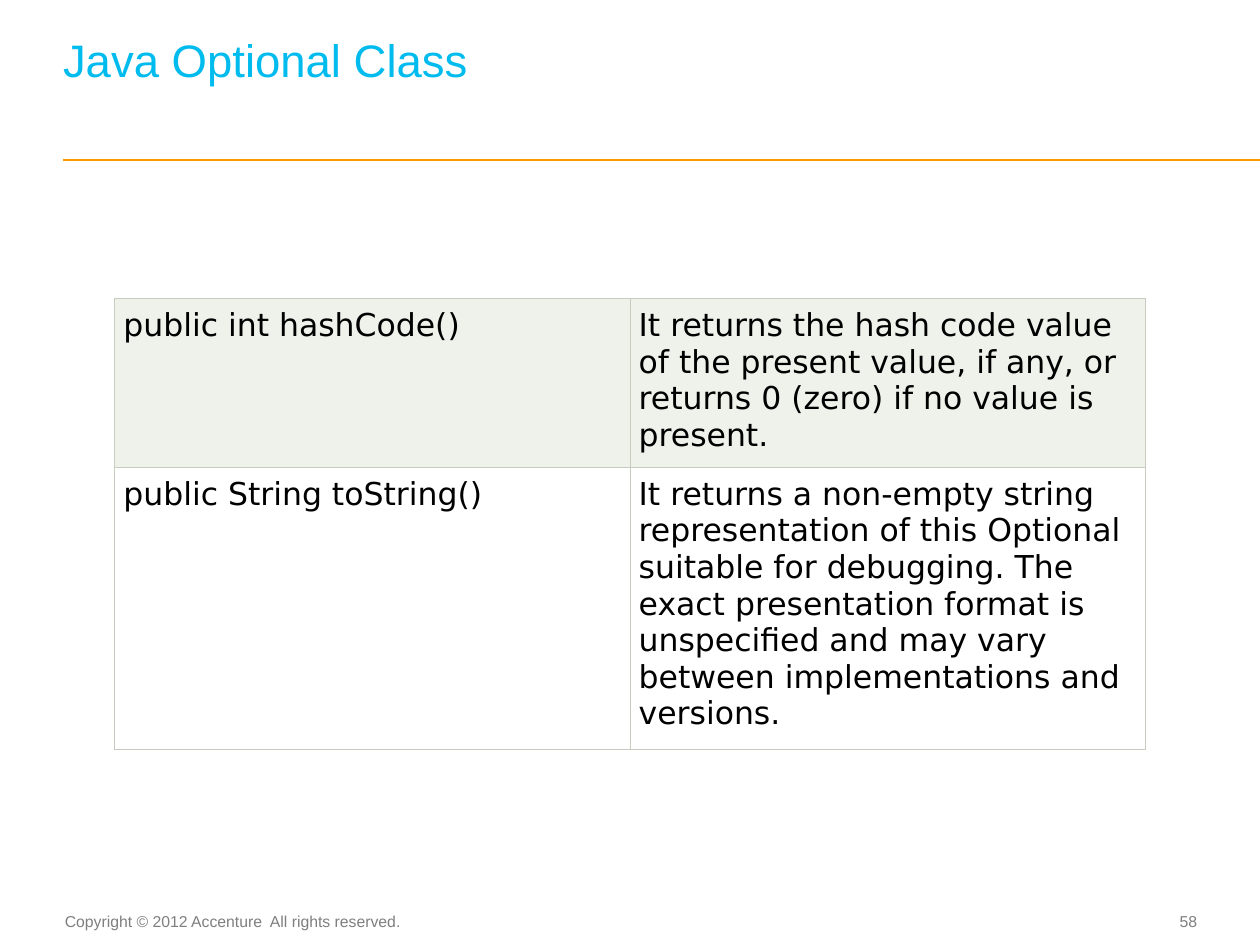
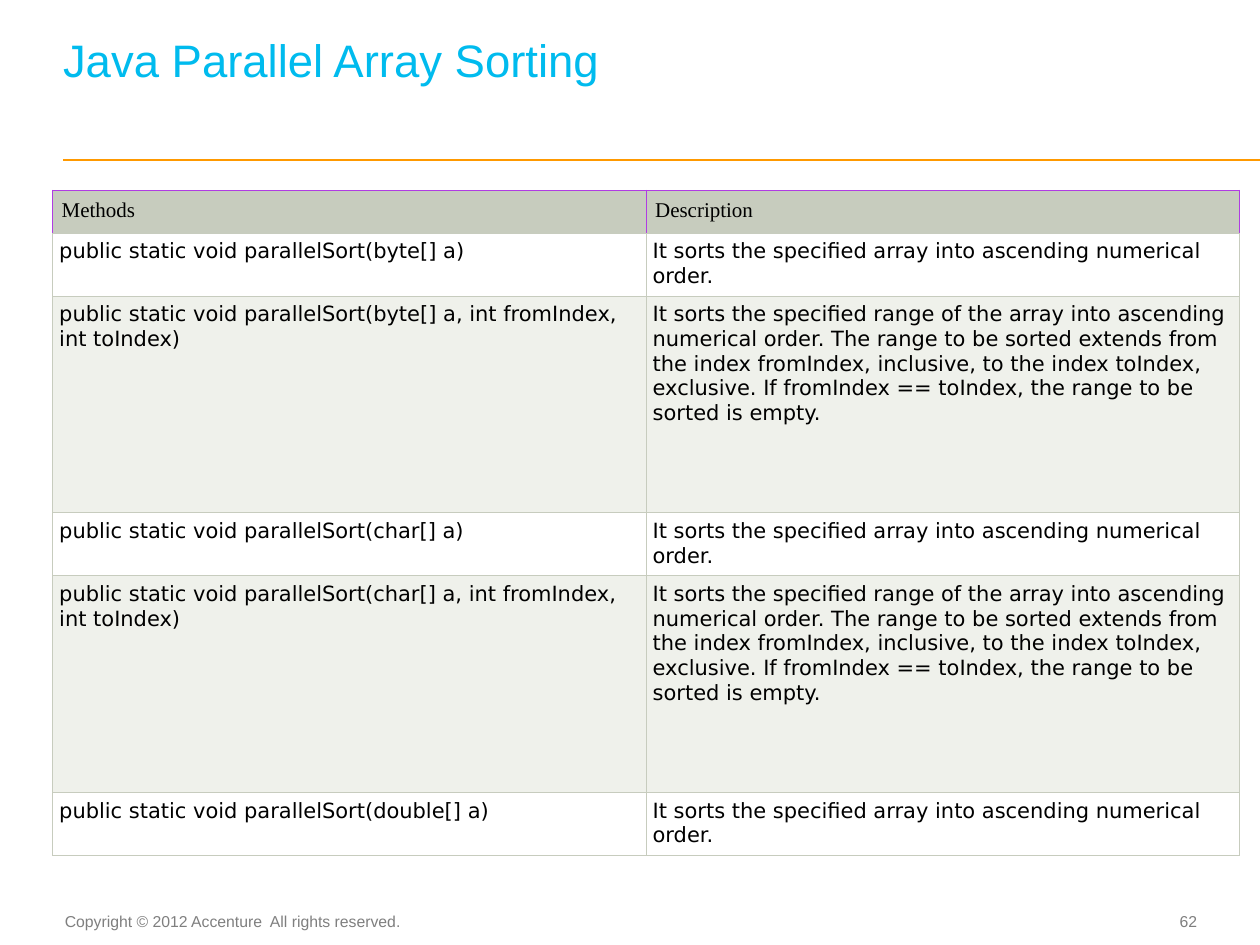
from lxml import etree
from pptx import Presentation
from pptx.dml.color import RGBColor
from pptx.enum.shapes import MSO_CONNECTOR
from pptx.enum.text import MSO_ANCHOR as Anchor, MSO_AUTO_SIZE as AutoSize, PP_ALIGN as Align
from pptx.oxml.ns import qn
from pptx.util import Inches, Pt

COLORS = {
    "title": "00BBEE",
    "rule": "FF9900",
    "footer": "7F7F7F",
    "text": "000000",
    "grid": "C7CCBE",
    "header_edge": "B03CE3",
    "header": "C7CCBE",
    "tinted": "EFF1EB",
    "plain": "FFFFFF",
}
COPYRIGHT = "Copyright © 2012 Accenture  All rights reserved."
SORTS_ALL = "It sorts the specified array into ascending numerical order."
SORTS_RANGE = (
    "It sorts the specified range of the array into ascending numerical order. "
    "The range to be sorted extends from the index fromIndex, inclusive, to the index "
    "toIndex, exclusive. If fromIndex == toIndex, the range to be sorted is empty."
)

# Each row: height, fill, method, description
SLIDES = [
    {
        "title": "Java Optional Class", "number": "58",
        "left": 0.91, "top": 2.37, "column": 4.09, "size": 18, "margin": 0.07,
        "rows": [
            (1.29, "tinted", "public int hashCode()",
             "It returns the hash code value of the present value, if any, "
             "or returns 0 (zero) if no value is present."),
            (2.16, "plain", "public String toString()",
             "It returns a non-empty string representation of this Optional suitable for "
             "debugging. The exact presentation format is unspecified and may vary between "
             "implementations and versions."),
        ],
    },
    {
        "title": "Java Parallel Array Sorting", "number": "62",
        "left": 0.42, "top": 1.51, "column": 4.71, "size": 12, "margin": 0.05,
        "rows": [
            (0.34, "header", "Methods", "Description"),
            (0.5, "plain", "public static void parallelSort(byte[] a)", SORTS_ALL),
            (1.72, "tinted",
             "public static void parallelSort(byte[] a, int fromIndex, int toIndex)", SORTS_RANGE),
            (0.5, "plain", "public static void parallelSort(char[] a)", SORTS_ALL),
            (1.72, "tinted",
             "public static void parallelSort(char[] a, int fromIndex, int toIndex)", SORTS_RANGE),
            (0.5, "plain", "public static void parallelSort(double[] a)", SORTS_ALL),
        ],
    },
]


def write(frame, text, size, font, color, align=Align.LEFT, margins=(0, 0, 0, 0)):
    """Fill a text frame with one formatted run; margins are left, top, right, bottom."""
    frame.word_wrap = True
    (frame.margin_left, frame.margin_top,
     frame.margin_right, frame.margin_bottom) = map(Inches, margins)
    paragraph = frame.paragraphs[0]
    paragraph.alignment = align
    run = paragraph.add_run()
    run.text = text
    run.font.size = Pt(size)
    run.font.name = font
    run.font.bold = False
    run.font.color.rgb = RGBColor.from_string(COLORS[color])
    return paragraph


def set_borders(cell, edge, bottom):
    """Draw the four cell borders."""
    properties = cell._tc.get_or_add_tcPr()
    for side, color in (("lnL", edge), ("lnR", edge), ("lnT", edge), ("lnB", bottom)):
        line = etree.SubElement(properties, qn(f"a:{side}"), w=str(Pt(0.6)))
        fill = etree.SubElement(line, qn("a:solidFill"))
        etree.SubElement(fill, qn("a:srgbClr"), val=COLORS[color])


presentation = Presentation()
presentation.slide_width = Inches(10)
presentation.slide_height = Inches(7.5)
title_only = presentation.slide_layouts[5]

for content in SLIDES:
    slide = presentation.slides.add_slide(title_only)
    shapes = slide.shapes

    # Rule under the title
    rule = shapes.add_connector(
        MSO_CONNECTOR.STRAIGHT, Inches(0.5), Inches(1.27), Inches(10), Inches(1.27))
    rule.line.color.rgb = RGBColor.from_string(COLORS["rule"])
    rule.line.width = Pt(1)
    etree.SubElement(rule._element.spPr, qn("a:effectLst"))

    # Copyright and page number
    copyright_box = shapes.add_textbox(Inches(0.49), Inches(7.19), Inches(2.81), Inches(0.25))
    write(copyright_box.text_frame, COPYRIGHT, 9, "Arial", "footer",
          Align.CENTER, (0, 0.05, 0.1, 0.05))
    number_box = shapes.add_textbox(Inches(8.91), Inches(7.18), Inches(0.59), Inches(0.27))
    number_box.text_frame.vertical_anchor = Anchor.MIDDLE
    write(number_box.text_frame, content["number"], 9, "Arial", "footer", Align.RIGHT)

    # Title, kept one line above the bottom of its box
    title = shapes.title
    title.left, title.top = Inches(0.5), Inches(0.19)
    title.width, title.height = Inches(8.97), Inches(0.86)
    title.text_frame.auto_size = AutoSize.NONE
    title.text_frame.vertical_anchor = Anchor.BOTTOM
    heading = write(title.text_frame, content["title"], 26, "Arial", "title",
                    margins=(0, 0, 0, 0.36))
    heading.line_spacing = Pt(26)

    # Method table
    rows = content["rows"]
    table = shapes.add_table(
        len(rows), 2, Inches(content["left"]), Inches(content["top"]),
        Inches(2 * content["column"]), Inches(sum(row[0] for row in rows))).table
    table.first_row = False
    table.horz_banding = False
    for column in table.columns:
        column.width = Inches(content["column"])
    for row, (height, fill, *texts) in zip(table.rows, rows):
        row.height = Inches(height)
        is_header = fill == "header"
        margin = 0.07 if is_header else content["margin"]
        font = "Times New Roman" if is_header else "DejaVu Sans"
        for cell, text in zip(row.cells, texts):
            write(cell.text_frame, text, content["size"], font, "text")
            cell.margin_left = cell.margin_right = Inches(margin)
            cell.margin_top = cell.margin_bottom = Inches(margin)
            set_borders(cell, "header_edge" if is_header else "grid", "grid")
            cell.fill.solid()
            cell.fill.fore_color.rgb = RGBColor.from_string(COLORS[fill])

presentation.save("out.pptx")
